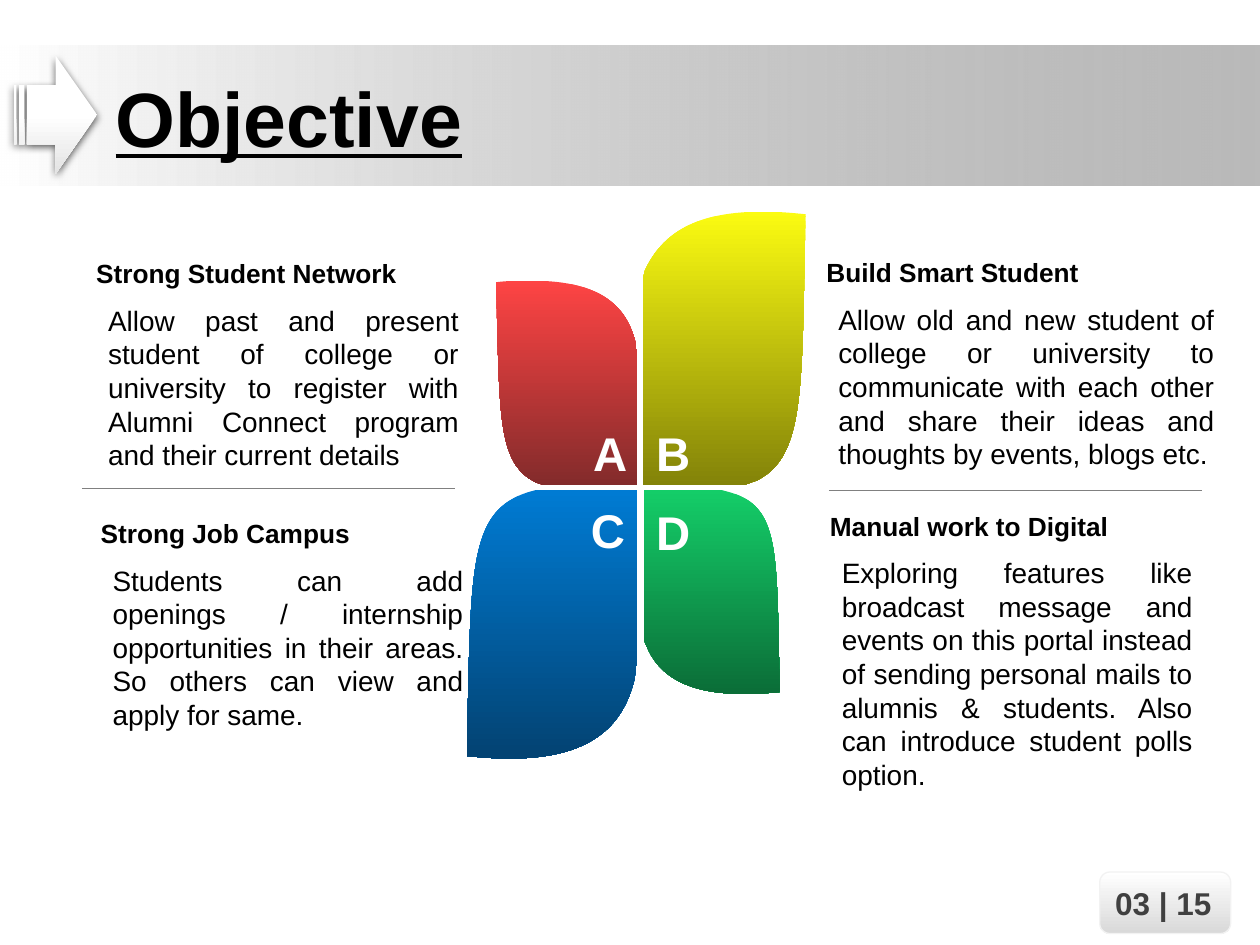
from dataclasses import dataclass

from lxml import etree
from pptx import Presentation
from pptx import util as u
from pptx.dml.color import RGBColor
from pptx.enum import shapes, text
from pptx.oxml.ns import qn

FONT = "Arial"
BLACK, WHITE, GREY = "000000", "FFFFFF", "808080"
DOWN = 270


@dataclass
class Leaf:
    letter: str
    letter_at: tuple[float, float]
    top_color: str
    bottom_color: str
    start: tuple[float, float]
    segments: list


@dataclass
class Objective:
    left: float
    top: float
    body_width: float
    heading: str
    body: str


LEAVES = [
    Leaf("B", (12.98, 8.43), "FBFB11", "838309", (15.47, 4.27), [
        [(15.7, 4.27), (15.95, 4.29), (16.24, 4.32)],
        [(16.16, 7.85), (16.24, 9.17), (15.27, 9.68)],
        [(14.99, 9.78)], [(12.97, 9.78)], [(12.97, 5.59)], [(13, 5.46)],
        [(13.34, 4.72), (14.02, 4.24), (15.47, 4.27)]]),
    Leaf("A", (11.71, 8.43), "FE4444", "832B2B", (10.64, 5.66), [
        [(12.04, 5.64), (12.6, 6.12), (12.8, 6.86)],
        [(12.85, 7.11)], [(12.85, 9.78)], [(10.97, 9.78)], [(10.82, 9.73)],
        [(10.01, 9.35), (10.08, 8.36), (10, 5.69)],
        [(10.24, 5.66), (10.44, 5.66), (10.64, 5.66)]]),
    Leaf("C", (11.66, 9.98), "007BD3", "034373", (10.8, 9.88), [
        [(12.85, 9.88)], [(12.85, 13.34)], [(12.78, 13.74)],
        [(12.5, 14.81), (11.66, 15.49), (9.41, 15.24)],
        [(9.5, 11.48), (9.41, 10.29), (10.69, 9.91)],
        [(10.8, 9.88)]]),
    Leaf("D", (12.98, 10.02), "14CD68", "0B6E38", (12.98, 9.88), [
        [(14.55, 9.88)], [(14.66, 9.91)],
        [(15.75, 10.19), (15.65, 11.1), (15.72, 13.95)],
        [(14.1, 14.12), (13.36, 13.74), (13.06, 13.08)],
        [(12.98, 12.9)], [(12.98, 9.88)]]),
]

OBJECTIVES = [
    Objective(1.69, 5.07, 7.57, "Strong Student Network",
              "Allow past and present student of college or university to register "
              "with Alumni Connect program and their current details"),
    Objective(16.41, 5.05, 8.08, "Build Smart Student",
              "Allow old and new student of college or university to communicate "
              "with each other and share their ideas and thoughts by events, blogs etc."),
    Objective(1.78, 10.31, 7.57, "Strong Job Campus",
              "Students can add openings / internship opportunities in their areas. "
              "So others can view and apply for same."),
    Objective(16.48, 10.16, 7.57, "Manual work to Digital",
              "Exploring features like broadcast message and events on this portal "
              "instead of sending personal mails to alumnis & students. Also can "
              "introduce student polls option."),
]


def color(value: str) -> RGBColor:
    return RGBColor.from_string(value)


def cm_box(left: float, top: float, width: float, height: float) -> list:
    return [u.Cm(value) for value in (left, top, width, height)]


def paint(shape, first: str, last: str, angle: int = DOWN, start: float = 0) -> None:
    shape.shadow.inherit = False
    shape.line.fill.background()
    shape.fill.gradient()
    shape.fill.gradient_angle = angle
    for stop, value, position in zip(shape.fill.gradient_stops, (first, last), (start, 1)):
        stop.color.rgb = color(value)
        stop.position = position


def write(shape, words: str, size: float, value: str, bold: bool = True,
          align=text.PP_ALIGN.LEFT, wrap: bool = True) -> None:
    frame = shape.text_frame
    frame.text = words
    frame.word_wrap = wrap
    para = frame.paragraphs[0]
    para.alignment = align
    span = para.runs[0]
    span.font.name = FONT
    span.font.size = u.Pt(size)
    span.font.bold = bold
    span.font.color.rgb = color(value)


def add_text(page, area: tuple, words: str, size: float, value: str, **options):
    box = page.shapes.add_textbox(*cm_box(*area))
    write(box, words, size, value, **options)
    return box


def add_banner(page) -> None:
    banner = page.shapes.add_shape(
        shapes.MSO_SHAPE.RECTANGLE, *cm_box(0, 0.91, 25.4, 2.83))
    paint(banner, WHITE, GREY, angle=0)
    end_color = banner._element.spPr.findall(".//" + qn("a:srgbClr"))[-1]
    etree.SubElement(end_color, qn("a:alpha"), val="54000")

    title = add_text(page, (2.08, 0.76, 22.86, 3.18), "Objective", 44, BLACK)
    title.text_frame.vertical_anchor = text.MSO_ANCHOR.MIDDLE
    title.text_frame.paragraphs[0].runs[0].font.underline = True

    arrow = page.shapes.add_shape(
        shapes.MSO_SHAPE.STRIPED_RIGHT_ARROW, *cm_box(0.28, 1.12, 1.68, 2.39))
    paint(arrow, WHITE, "E3E3E3", start=0.5)
    effects = arrow._element.spPr.find(qn("a:effectLst"))
    shadow = etree.SubElement(
        effects, qn("a:outerShdw"), blurRad=str(u.Pt(4.5)), dist=str(u.Pt(1.5)),
        dir="5400000", algn="t", rotWithShape="0")
    shade = etree.SubElement(shadow, qn("a:srgbClr"), val=BLACK)
    etree.SubElement(shade, qn("a:alpha"), val="63000")


def add_leaf(page, leaf: Leaf) -> None:
    builder = page.shapes.build_freeform(u.Cm(leaf.start[0]), u.Cm(leaf.start[1]))
    ends = [(u.Cm(x), u.Cm(y)) for x, y in (segment[-1] for segment in leaf.segments)]
    builder.add_line_segments(ends, close=True)
    shape = builder.convert_to_shape()
    edges = shape._element.spPr.findall(".//" + qn("a:lnTo"))
    for edge, segment in zip(edges, leaf.segments):
        if len(segment) == 3:
            bend(edge, segment, shape.left, shape.top)
    paint(shape, leaf.top_color, leaf.bottom_color)


def bend(edge, segment: list, left: int, top: int) -> None:
    curve = etree.Element(qn("a:cubicBezTo"))
    for x, y in segment:
        etree.SubElement(curve, qn("a:pt"), x=str(u.Cm(x) - left), y=str(u.Cm(y) - top))
    edge.getparent().replace(edge, curve)


def add_objective(page, item: Objective) -> None:
    add_text(page, (item.left, item.top, 7.6, 0.89), item.heading, 15, BLACK)
    add_text(page, (item.left + 0.24, item.top + 0.92, item.body_width, 3.68),
             item.body, 16, BLACK, bold=False, align=text.PP_ALIGN.JUSTIFY)


def add_divider(page, left: float, top: float) -> None:
    line = page.shapes.add_connector(
        shapes.MSO_CONNECTOR.STRAIGHT, u.Cm(left), u.Cm(top), u.Cm(left + 7.53), u.Cm(top))
    line.line.color.rgb = color(GREY)
    line.line.width = u.Pt(0.5)
    etree.SubElement(line._element.spPr, qn("a:effectLst"))


def add_page_badge(page) -> None:
    badge = page.shapes.add_shape(
        shapes.MSO_SHAPE.FLOWCHART_ALTERNATE_PROCESS, *cm_box(22.17, 17.58, 2.64, 1.24))
    paint(badge, WHITE, "D9D9D9")
    badge.line.color.rgb = color("F2F2F2")
    badge.line.width = u.Pt(0.75)
    badge.text_frame.vertical_anchor = text.MSO_ANCHOR.MIDDLE
    write(badge, "03 | 15", 18, "404040", wrap=False)


def main() -> None:
    deck = Presentation()
    deck.slide_width, deck.slide_height = u.Cm(25.4), u.Cm(19.05)
    page = deck.slides.add_slide(deck.slide_layouts[6])
    add_banner(page)
    for leaf in LEAVES:
        add_leaf(page, leaf)
    for leaf in LEAVES:
        add_text(page, (*leaf.letter_at, 1.14, 1.42), leaf.letter, 27, WHITE)
    for item in OBJECTIVES:
        add_objective(page, item)
    add_divider(page, 1.65, 9.85)
    add_divider(page, 16.71, 9.88)
    add_page_badge(page)
    deck.save("out.pptx")


if __name__ == "__main__":
    main()
